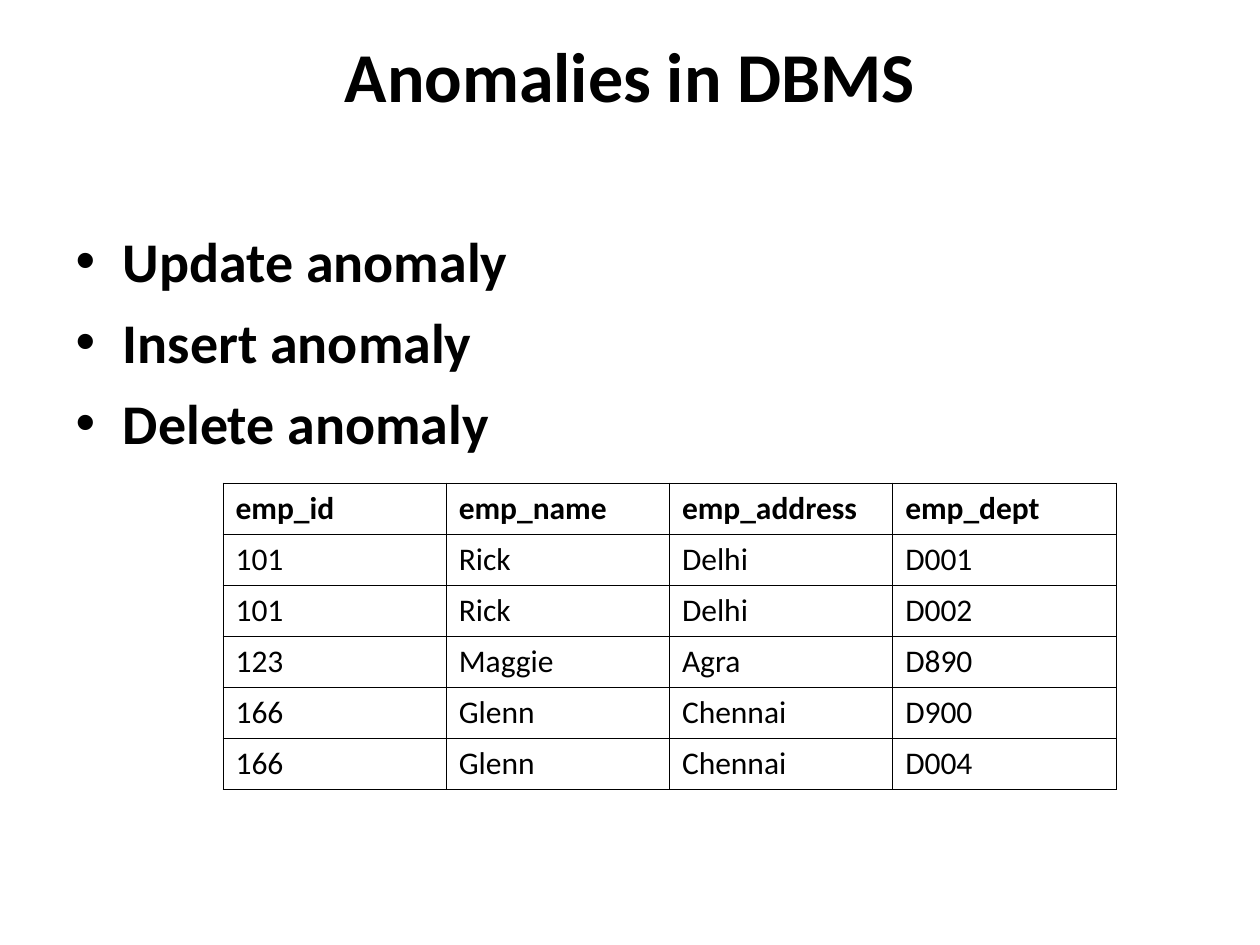
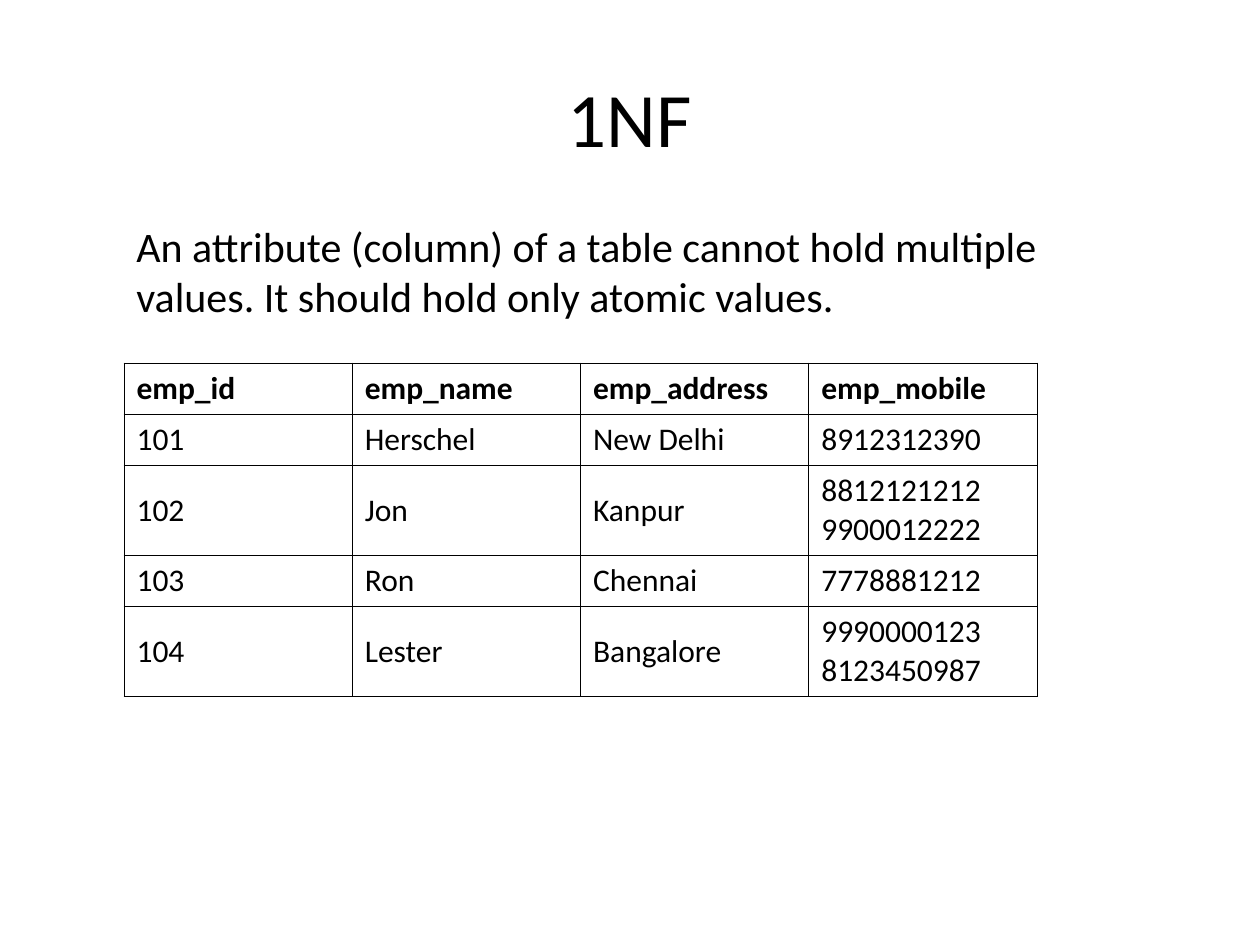
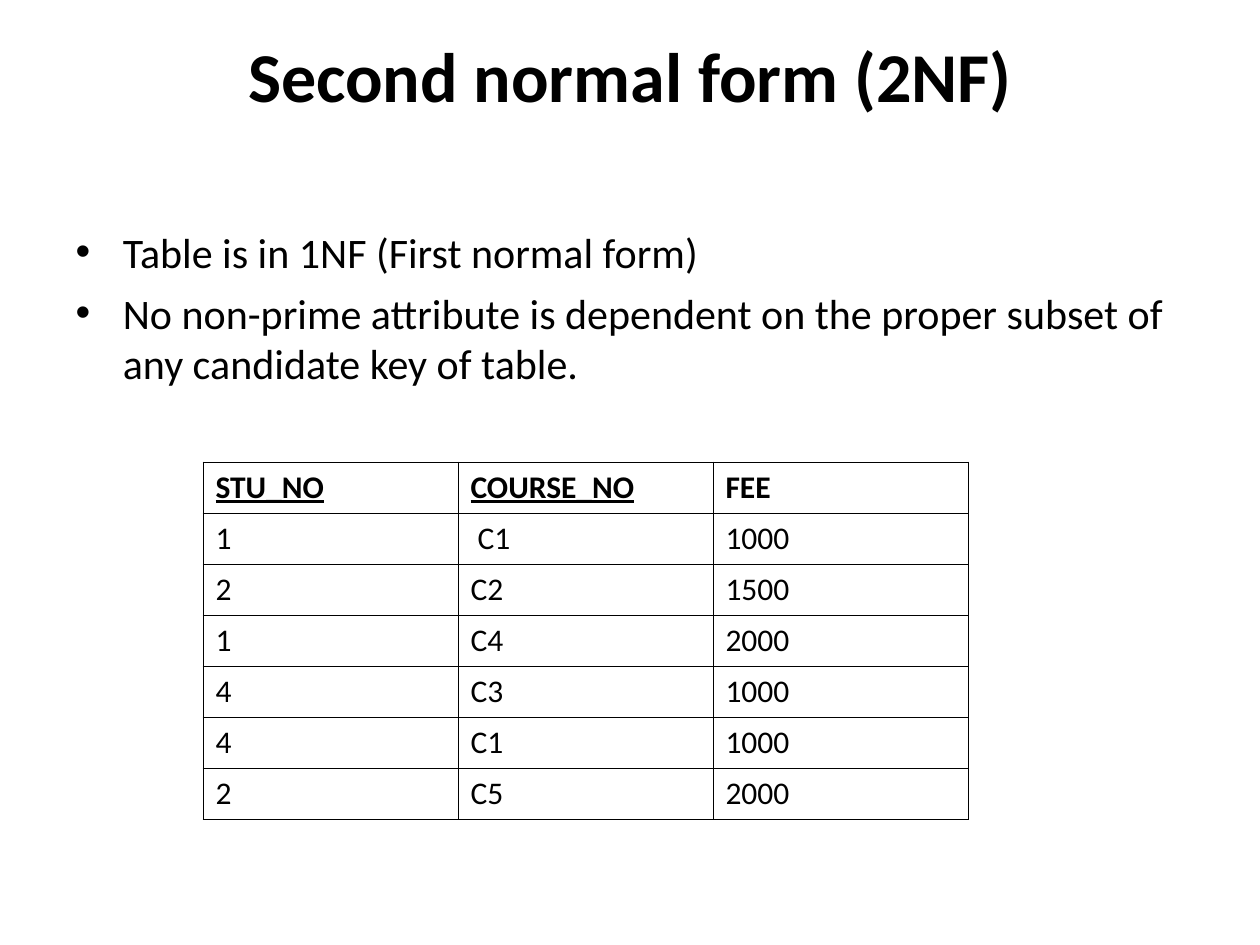
from dataclasses import dataclass

from lxml import etree
from pptx import Presentation
from pptx import util as u
from pptx.dml import color
from pptx.enum import text
from pptx.oxml import ns

EMU_PER_PX = 914400 / 126


@dataclass(frozen=True)
class Theme:
    font: str = "Calibri"
    ink: str = "000000"
    line_width: float = 0.45
    title: int = 44
    long_title: int = 40
    large: int = 32
    body: int = 24
    cell: int = 18


THEME = Theme()
SLIDE_SIZE = (1260, 945)
TITLE_BOX = (63, 38, 1134, 158)
LIST_BOX = (63, 220, 1134, 624)
RAISED_TITLE_INSET = 85
ROW_HEIGHT = 51
EXTRA_LINE = 39
TITLE_AND_LIST, TITLE_ONLY = 1, 5


def px(length):
    return u.Emu(round(length * EMU_PER_PX))


def set_values(target, values):
    for name, value in values.items():
        setattr(target, name, value)


def place(shape, box):
    set_values(shape, dict(zip(("left", "top", "width", "height"), map(px, box))))


def write(frame, lines, size, bold=False, underline=False, **paragraph_format):
    for index, line in enumerate(lines):
        para = frame.add_paragraph() if index else frame.paragraphs[0]
        set_values(para, paragraph_format)
        span = para.add_run()
        span.text = line
        set_values(span.font, {
            "name": THEME.font, "size": u.Pt(size),
            "bold": bold, "underline": underline,
        })
        span.font.color.rgb = color.RGBColor.from_string(THEME.ink)


def add_page(deck, layout, title, size, raised=False):
    page = deck.slides.add_slide(deck.slide_layouts[layout])
    place(page.shapes.title, TITLE_BOX)
    frame = page.shapes.title.text_frame
    set_values(frame, {
        "auto_size": text.MSO_AUTO_SIZE.NONE,
        "vertical_anchor": text.MSO_ANCHOR.MIDDLE,
    })
    if raised:
        set_values(frame, {"margin_top": 0, "margin_bottom": px(RAISED_TITLE_INSET)})
    write(frame, [title], size, bold=raised, alignment=text.PP_ALIGN.CENTER)
    return page


def add_list(page, items, size, space, bold=False):
    body = page.placeholders[1]
    place(body, LIST_BOX)
    body.text_frame.auto_size = text.MSO_AUTO_SIZE.NONE
    write(body.text_frame, items, size, bold, space_before=u.Pt(space))


def add_note(page, box, line):
    note = page.shapes.add_textbox(*map(px, box))
    note.text_frame.word_wrap = True
    write(note.text_frame, [line], THEME.body)


def outline(cell):
    properties = cell._tc.get_or_add_tcPr()
    for side in ("lnL", "lnR", "lnT", "lnB"):
        line = etree.SubElement(properties, ns.qn(f"a:{side}"), w=str(u.Pt(THEME.line_width)))
        fill = etree.SubElement(line, ns.qn("a:solidFill"))
        etree.SubElement(fill, ns.qn("a:srgbClr"), val=THEME.ink)


def add_grid(page, left, top, width, rows, keys=()):
    cells = [[value if isinstance(value, tuple) else (value,) for value in row] for row in rows]
    heights = [ROW_HEIGHT + EXTRA_LINE * (max(map(len, row)) - 1) for row in cells]
    frame = page.shapes.add_table(
        len(rows), len(rows[0]), *map(px, (left, top, width, sum(heights))))
    table = frame.table
    set_values(table, {"first_row": False, "horz_banding": False})
    for row_index, (row, height) in enumerate(zip(cells, heights)):
        table.rows[row_index].height = px(height)
        for column_index, lines in enumerate(row):
            cell = table.cell(row_index, column_index)
            cell.vertical_anchor = text.MSO_ANCHOR.MIDDLE
            outline(cell)
            cell.fill.background()
            header = row_index == 0
            write(cell.text_frame, lines, THEME.cell, bold=header,
                  underline=header and lines[0] in keys)


def add_anomalies(deck):
    page = add_page(deck, TITLE_AND_LIST, "Anomalies in DBMS", THEME.long_title, raised=True)
    add_list(page, ["Update anomaly", "Insert anomaly", "Delete anomaly"],
             THEME.large, space=8, bold=True)
    add_grid(page, 223, 483, 893, [
        ("emp_id", "emp_name", "emp_address", "emp_dept"),
        ("101", "Rick", "Delhi", "D001"),
        ("101", "Rick", "Delhi", "D002"),
        ("123", "Maggie", "Agra", "D890"),
        ("166", "Glenn", "Chennai", "D900"),
        ("166", "Glenn", "Chennai", "D004"),
    ])


def add_first_form(deck):
    page = add_page(deck, TITLE_ONLY, "1NF", THEME.title)
    add_grid(page, 124, 363, 913, [
        ("emp_id", "emp_name", "emp_address", "emp_mobile"),
        ("101", "Herschel", "New Delhi", "8912312390"),
        ("102", "Jon", "Kanpur", ("8812121212", "9900012222")),
        ("103", "Ron", "Chennai", "7778881212"),
        ("104", "Lester", "Bangalore", ("9990000123", "8123450987")),
    ])
    add_note(page, (124, 214, 1032, 114),
             "An attribute (column) of a table cannot hold multiple values. "
             "It should hold only atomic values.")


def add_second_form(deck):
    page = add_page(deck, TITLE_AND_LIST, "Second normal form (2NF)",
                    THEME.long_title, raised=True)
    add_list(page, [
        "Table is in 1NF (First normal form)",
        "No non-prime attribute is dependent on the proper subset of "
        "any candidate key of table.",
    ], THEME.body, space=6)
    add_grid(page, 203, 462, 765, [
        ("STU_NO", "COURSE_NO", "FEE"),
        ("1", " C1", "1000"),
        ("2", "C2", "1500"),
        ("1", "C4", "2000"),
        ("4", "C3", "1000"),
        ("4", "C1", "1000"),
        ("2", "C5", "2000"),
    ], keys=("STU_NO", "COURSE_NO"))


def main():
    deck = Presentation()
    set_values(deck, dict(zip(("slide_width", "slide_height"), map(px, SLIDE_SIZE))))
    add_anomalies(deck)
    add_first_form(deck)
    add_second_form(deck)
    deck.save("out.pptx")


if __name__ == "__main__":
    main()
